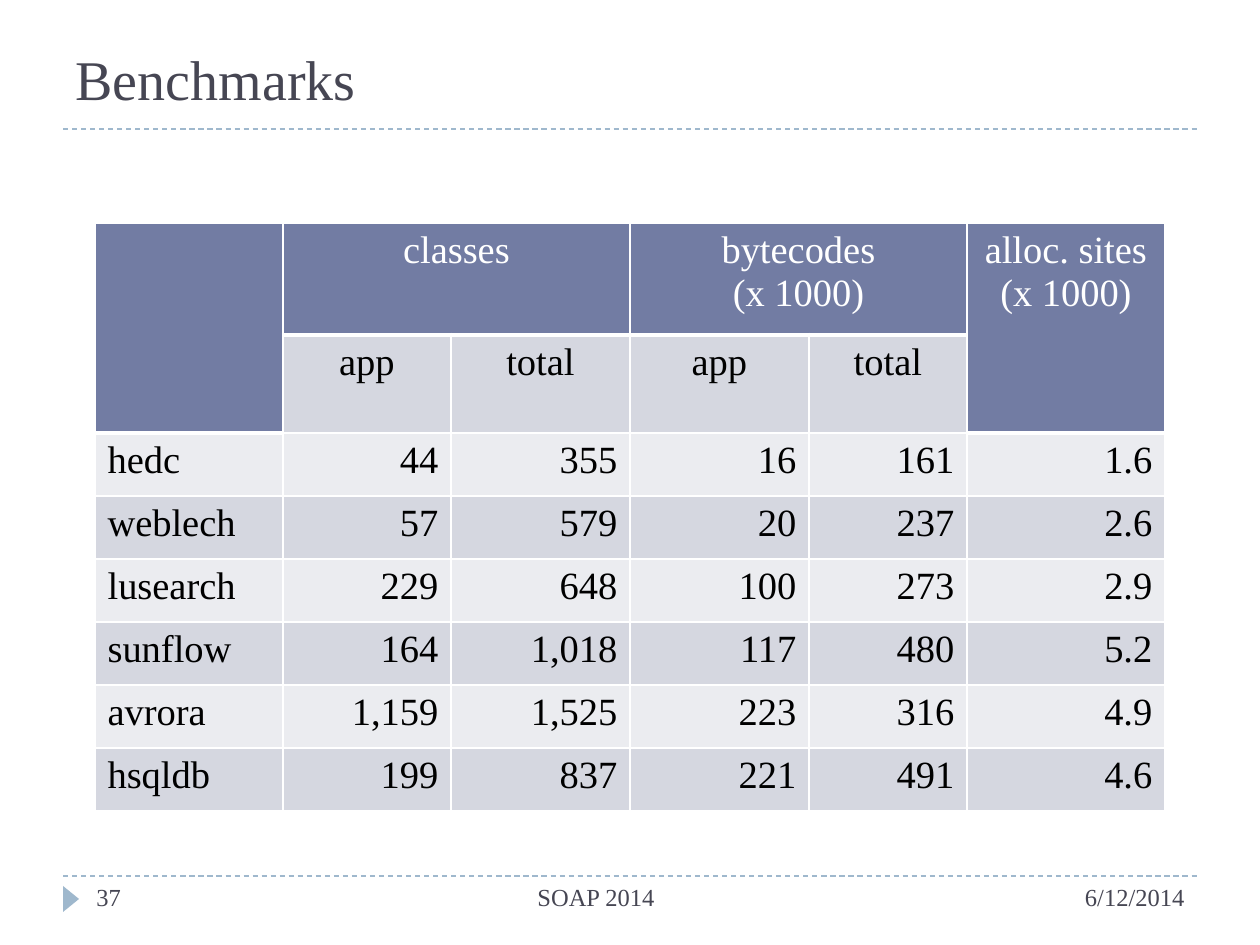
from dataclasses import dataclass

from lxml.etree import SubElement
from pptx import Presentation
from pptx.dml.color import RGBColor
from pptx.enum.dml import MSO_LINE
from pptx.enum.shapes import MSO_CONNECTOR as Connector, MSO_SHAPE as Shape
from pptx.enum.text import MSO_ANCHOR as Anchor, PP_ALIGN as Align
from pptx.oxml.ns import qn
from pptx.slide import Slide
from pptx.util import Emu, Pt

WHITE = RGBColor(0xFF, 0xFF, 0xFF)
BLACK = RGBColor(0x00, 0x00, 0x00)
SLATE = RGBColor(0x46, 0x46, 0x53)
SKY = RGBColor(0x9F, 0xB8, 0xCD)
HEADER = RGBColor(0x72, 0x7C, 0xA3)
DARK_BAND = RGBColor(0xD5, 0xD7, 0xE0)
LIGHT_BAND = RGBColor(0xEB, 0xEC, 0xF0)

COLUMNS = [188, 168, 179, 179, 158, 198]
ROWS = [112, 98] + [63] * 6
MERGES = [(0, 0, 1, 0), (0, 1, 0, 2), (0, 3, 0, 4), (0, 5, 1, 5)]
BENCHMARKS = [
    ["", "classes", "", "bytecodes\n(x 1000)", "", "alloc. sites\n(x 1000)"],
    ["", "app", "total", "app", "total", ""],
    ["hedc", "44", "355", "16", "161", "1.6"],
    ["weblech", "57", "579", "20", "237", "2.6"],
    ["lusearch", "229", "648", "100", "273", "2.9"],
    ["sunflow", "164", "1,018", "117", "480", "5.2"],
    ["avrora", "1,159", "1,525", "223", "316", "4.9"],
    ["hsqldb", "199", "837", "221", "491", "4.6"],
]
FOOTERS = [
    ("6/12/2014", 882, 315, Align.RIGHT),
    ("37", 84, 112, Align.LEFT),
    ("SOAP 2014", 197, 798, Align.CENTER),
]


def px(length):
    """Turn pixels into EMU."""
    return Emu(round(length * 914400 / 126))


@dataclass
class Painter:
    """Hold the style and the current slide."""

    page: Slide
    font: str = "Times New Roman"

    def set_text(self, para, text, size, color, align):
        """Fill one paragraph with styled text."""
        para.text = text
        para.alignment = align
        para.font.name = self.font
        para.font.size = Pt(size)
        para.font.color.rgb = color

    def title(self, text, left, top, width, height):
        """Place the title at the bottom of its box."""
        box = self.page.shapes.title
        box.left, box.top, box.width, box.height = map(px, (left, top, width, height))
        box.text_frame.vertical_anchor = Anchor.BOTTOM
        self.set_text(box.text_frame.paragraphs[0], text, 32, SLATE, Align.LEFT)

    def label(self, text, left, top, width, height, align):
        """Add a footer text box."""
        box = self.page.shapes.add_textbox(*map(px, (left, top, width, height)))
        box.text_frame.word_wrap = True
        self.set_text(box.text_frame.paragraphs[0], text, 14, SLATE, align)

    def rule(self, left, right, y):
        """Add a dashed horizontal line."""
        line = self.page.shapes.add_connector(Connector.STRAIGHT, *map(px, (left, y, right, y)))
        line.line.color.rgb = SKY
        line.line.width = Pt(0.75)
        line.line.dash_style = MSO_LINE.DASH
        SubElement(line._element.spPr, qn("a:effectLst"))

    def marker(self, left, top, width, height):
        """Add a triangle that points right."""
        shape = self.page.shapes.add_shape(
            Shape.ISOSCELES_TRIANGLE, *map(px, (left, top, width, height)))
        shape.rotation = 90
        shape.shadow.inherit = False
        shape.fill.solid()
        shape.fill.fore_color.rgb = SKY
        shape.line.fill.background()

    def border(self, cell, side, points):
        """Draw one white cell edge."""
        line = SubElement(cell._tc.get_or_add_tcPr(), qn(f"a:ln{side}"), w=str(Pt(points)))
        SubElement(SubElement(line, qn("a:solidFill")), qn("a:srgbClr"), val=str(WHITE))

    def table(self, data, left, top):
        """Add the banded table with its merged headings."""
        frame = self.page.shapes.add_table(
            len(ROWS), len(COLUMNS), *map(px, (left, top, sum(COLUMNS), sum(ROWS))))
        grid = frame.table
        for column, width in zip(grid.columns, COLUMNS):
            column.width = px(width)
        for row, height in zip(grid.rows, ROWS):
            row.height = px(height)
        for r, values in enumerate(data):
            for c, value in enumerate(values):
                self.cell(grid.cell(r, c), value, r, c)
        for r, c, last_row, last_column in MERGES:
            grid.cell(r, c).merge(grid.cell(last_row, last_column))

    def cell(self, cell, value, r, c):
        """Style one table cell by its place."""
        heading = r == 0 or (r == 1 and c in (0, 5))
        edges = {"L": 1, "R": 1, "T": 1, "B": 3 if heading else 1}
        if 0 < r < 3:
            del edges["T"]
        for side, points in edges.items():
            self.border(cell, side, points)
        cell.fill.solid()
        band = DARK_BAND if r % 2 else LIGHT_BAND
        cell.fill.fore_color.rgb = HEADER if heading else band
        align = Align.CENTER if r < 2 else Align.RIGHT if c else Align.LEFT
        color = WHITE if heading else BLACK
        self.set_text(cell.text_frame.paragraphs[0], value, 22, color, align)


def main():
    """Build and save the slide."""
    deck = Presentation()
    deck.slide_width, deck.slide_height = px(1260), px(945)
    painter = Painter(deck.slides.add_slide(deck.slide_layouts[5]))
    for y in (876, 129):
        painter.rule(63, 1197, y)
    painter.marker(58, 891, 26, 16)
    painter.title("Benchmarks", 63, 21, 1134, 97)
    painter.table(BENCHMARKS, 95, 223)
    for text, left, width, align in FOOTERS:
        painter.label(text, left, 876, width, 50, align)
    deck.save("out.pptx")


if __name__ == "__main__":
    main()
